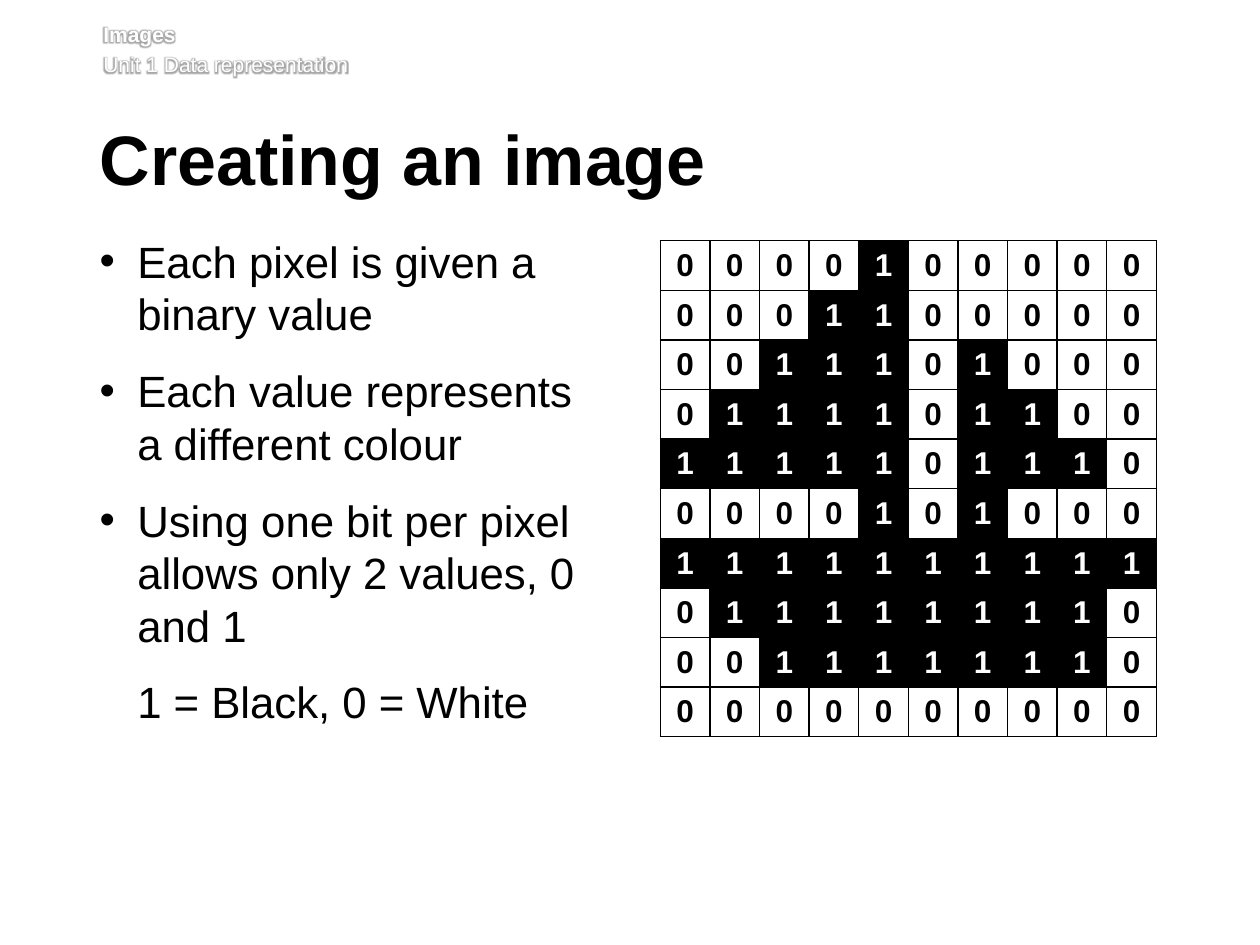
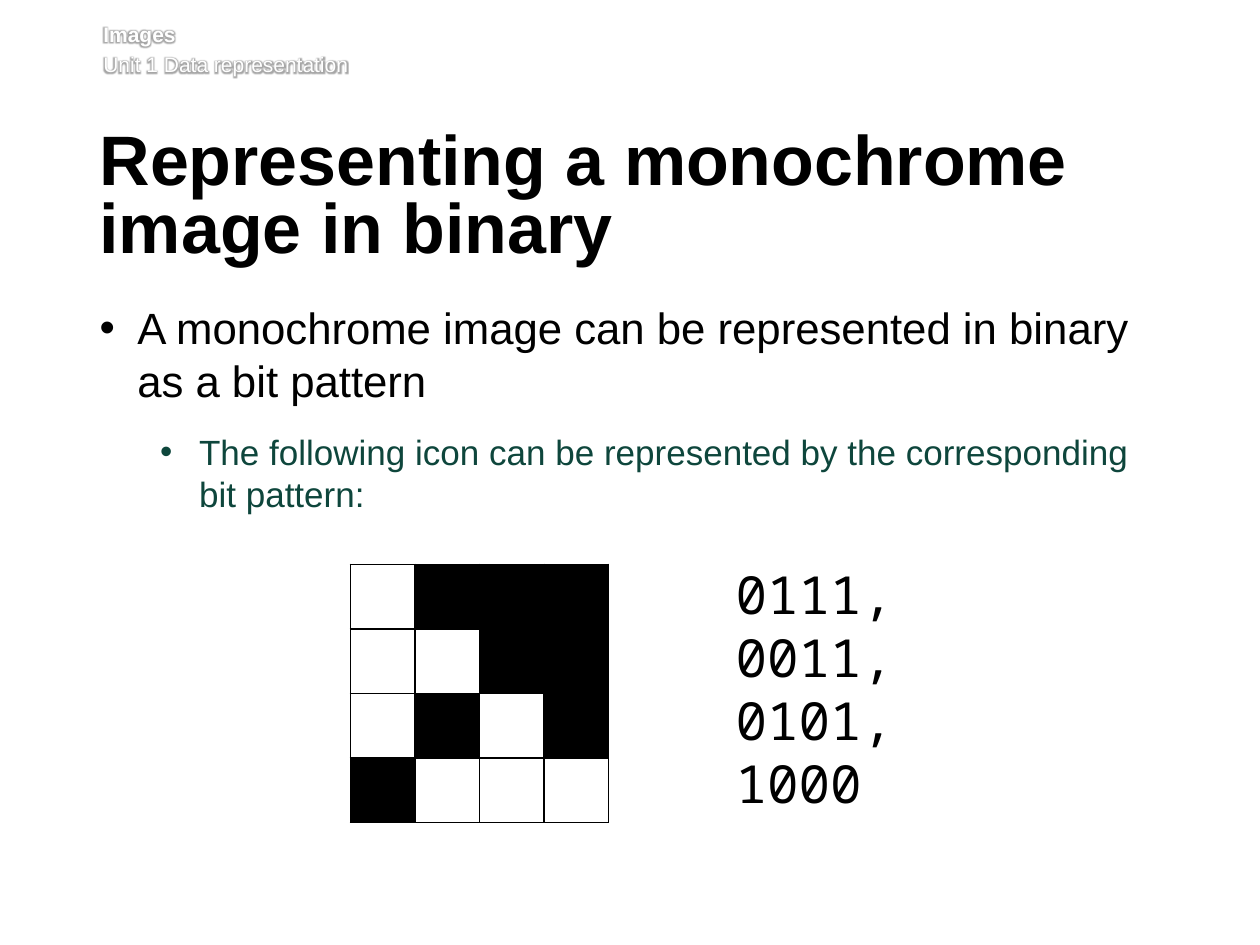
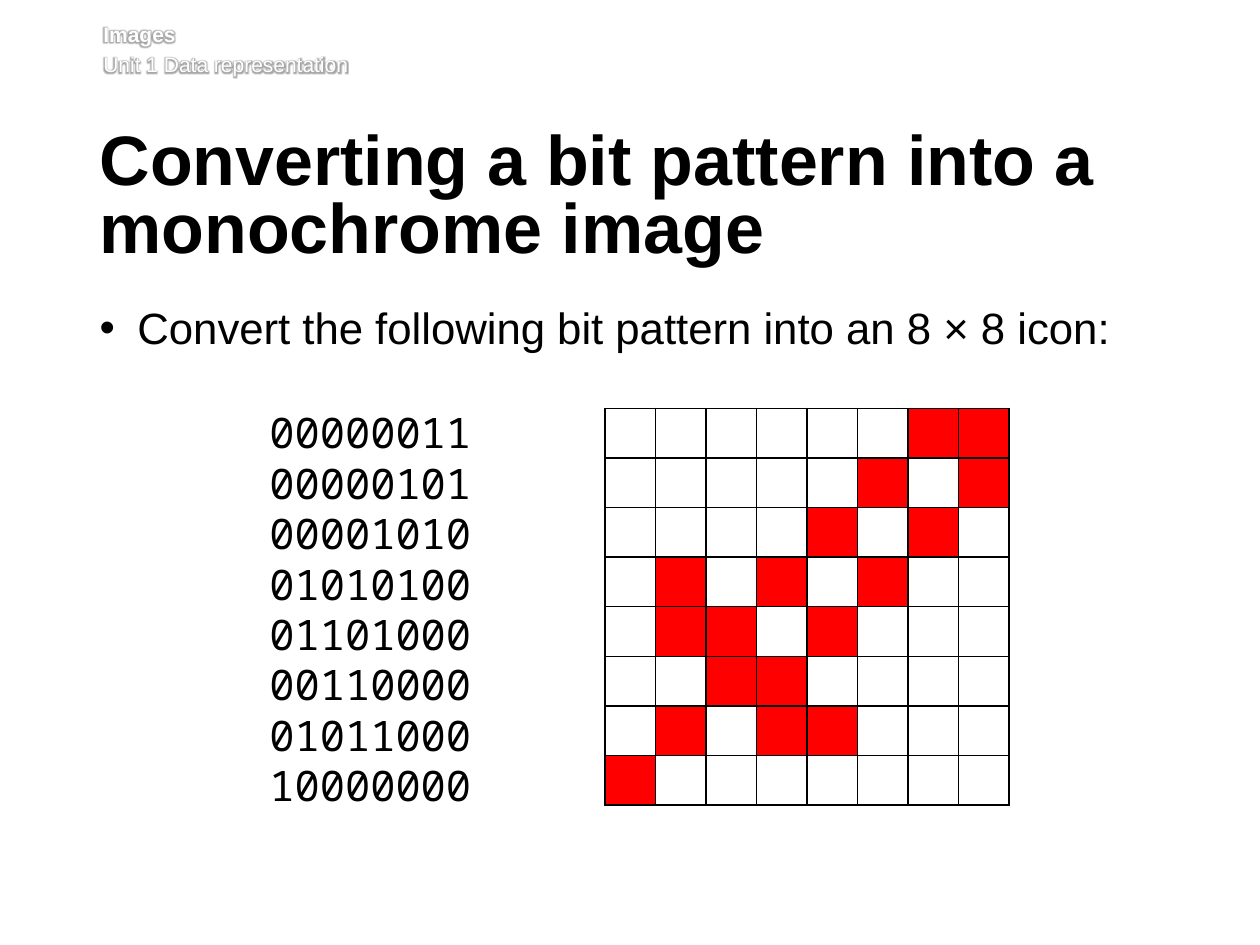
from lxml.etree import SubElement
from pptx import Presentation
from pptx.dml.color import RGBColor
from pptx.enum.text import MSO_ANCHOR, MSO_AUTO_SIZE, PP_ALIGN
from pptx.oxml import parse_xml
from pptx.oxml.ns import nsdecls, qn
from pptx.util import Inches, Pt

WIDTH, HEIGHT = Inches(10), Inches(7.5)
COLOURS = {"black": "000000", "white": "FFFFFF", "green": "0E463C", "red": "FF0000"}
SANS, MONO = "Arial", "Noto Sans Mono"

HEADER_AREA = (8.2, 2.27, 88.2, 6.53)
TITLE_AREA = (7.9, 13.2, 85.5, 9.73)
BODY_AREA = (7.9, 31.87, 85.3, 43.33)

LEVELS = [
    {"margin": 0.3, "hanging": 0.3, "after": 14, "size": 25, "colour": "black"},
    {"margin": 0.79, "hanging": 0.31, "after": 12, "size": 20, "colour": "green"},
]

BOAT = [
    "0000100000", "0001100000", "0011101000", "0111101100", "1111101110",
    "0000101000", "1111111111", "0111111110", "0011111110", "0000000000",
]
CORNER_ICON = ["0111", "0011", "0101", "1000"]
SWORD_ICON = [
    "00000011", "00000101", "00001010", "01010100",
    "01101000", "00110000", "01011000", "10000000",
]


def colour(name):
    return RGBColor.from_string(COLOURS[name])


def span_of(area):
    left, top, width, height = area
    return (int(WIDTH * left / 100), int(HEIGHT * top / 100),
            int(WIDTH * width / 100), int(HEIGHT * height / 100))


def place(box, area):
    box.left, box.top, box.width, box.height = span_of(area)


def set_frame(frame, left=0.1, top=0.05, right=0.1, bottom=0.05):
    frame.word_wrap = True
    frame.auto_size = MSO_AUTO_SIZE.NONE
    frame.vertical_anchor = MSO_ANCHOR.TOP
    frame.margin_left, frame.margin_top = Inches(left), Inches(top)
    frame.margin_right, frame.margin_bottom = Inches(right), Inches(bottom)


def paragraphs(frame, count):
    return [frame.paragraphs[0]] + [frame.add_paragraph() for _ in range(count - 1)]


def add_span(para, text, size, shade="black", font=SANS, bold=False):
    span = para.add_run()
    span.text = text
    span.font.size = Pt(size)
    span.font.name = font
    span.font.bold = bold
    span.font.color.rgb = colour(shade)
    return span


def add_glow(span):
    glow = parse_xml(
        f'<a:effectLst {nsdecls("a")}><a:glow rad="50800"><a:srgbClr val="{COLOURS["black"]}">'
        '<a:alpha val="35000"/></a:srgbClr></a:glow></a:effectLst>')
    span.font._element.find(qn("a:solidFill")).addnext(glow)


def add_header(page):
    frame = page.shapes.add_textbox(*span_of(HEADER_AREA)).text_frame
    set_frame(frame, 0, 0, 0)
    topic, unit = paragraphs(frame, 2)
    unit.space_before = Pt(2.9)
    add_glow(add_span(topic, "Images", 12, "white", bold=True))
    add_glow(add_span(unit, "Unit 1 Data representation", 12, "white"))


def set_title(page, text):
    title = page.shapes.title
    place(title, TITLE_AREA)
    set_frame(title.text_frame, left=0)
    para = title.text_frame.paragraphs[0]
    para.alignment = PP_ALIGN.LEFT
    para.line_spacing = Pt(39)
    para.space_after = Pt(15)
    add_span(para, text, 40, bold=True)


def set_bullet(para, style, bulleted):
    properties = para._p.get_or_add_pPr()
    properties.set("marL", str(Inches(style["margin"])))
    properties.set("indent", str(-Inches(style["hanging"]) if bulleted else 0))
    if bulleted:
        SubElement(properties, qn("a:buChar")).set("char", "•")
    else:
        SubElement(properties, qn("a:buNone"))


def set_list(page, items, area=BODY_AREA):
    body = page.placeholders[1]
    place(body, area)
    set_frame(body.text_frame, left=0, top=0)
    for para, (text, level, bulleted) in zip(paragraphs(body.text_frame, len(items)), items):
        style = LEVELS[level]
        set_bullet(para, style, bulleted)
        para.level = level
        para.space_before = Pt(0)
        para.space_after = Pt(style["after"])
        add_span(para, text, style["size"], style["colour"])


def set_borders(cell):
    properties = cell._tc.get_or_add_tcPr()
    for side in ("lnL", "lnR", "lnT", "lnB"):
        properties.append(parse_xml(
            f'<a:{side} {nsdecls("a")} w="{Pt(1)}"><a:solidFill>'
            f'<a:srgbClr val="{COLOURS["black"]}"/></a:solidFill></a:{side}>'))


def add_pixels(page, pattern, area, ink="black", show_bits=False):
    rows, columns = len(pattern), len(pattern[0])
    left, top, width, height = span_of(area)
    table = page.shapes.add_table(rows, columns, left, top, width, height).table
    table.first_row = table.horz_banding = False
    for column in table.columns:
        column.width = width // columns
    for row, bits in zip(table.rows, pattern):
        row.height = height // rows
        for cell, bit in zip(row.cells, bits):
            set_borders(cell)
            cell.fill.solid()
            cell.fill.fore_color.rgb = colour(ink if bit == "1" else "white")
            cell.margin_left = cell.margin_right = cell.margin_top = cell.margin_bottom = 0
            cell.vertical_anchor = MSO_ANCHOR.MIDDLE
            if show_bits:
                para = cell.text_frame.paragraphs[0]
                para.alignment = PP_ALIGN.CENTER
                add_span(para, bit, 18, "white" if bit == "1" else "black", bold=True)


def add_bit_pattern(page, lines, area, size):
    frame = page.shapes.add_textbox(*span_of(area)).text_frame
    set_frame(frame)
    for para, line in zip(paragraphs(frame, len(lines)), lines):
        add_span(para, line, size, font=MONO)


def add_page(deck, title):
    page = deck.slides.add_slide(deck.slide_layouts[1])
    add_header(page)
    set_title(page, title)
    return page


def main():
    deck = Presentation()
    deck.slide_width, deck.slide_height = WIDTH, HEIGHT

    page = add_page(deck, "Creating an image")
    set_list(page, [
        ("Each pixel is given a binary value", 0, True),
        ("Each value represents a different colour", 0, True),
        ("Using one bit per pixel allows only 2 values, 0 and 1", 0, True),
        ("1 = Black, 0 = White", 0, False),
    ], (7.9, 24.8, 41.3, 50.4))
    add_pixels(page, BOAT, (52.4, 25.47, 39.4, 52.53), show_bits=True)

    page = add_page(deck, "Representing a monochrome image in binary")
    set_list(page, [
        ("A monochrome image can be represented in binary as a bit pattern", 0, True),
        ("The following icon can be represented by the corresponding bit pattern:", 1, True),
    ])
    add_pixels(page, CORNER_ICON, (27.8, 59.73, 20.5, 27.33))
    add_bit_pattern(page, ", ".join(CORNER_ICON).split(" "), (57.4, 58.8, 20.5, 28.27), 30)

    page = add_page(deck, "Converting a bit pattern into a monochrome image")
    set_list(page, [("Convert the following bit pattern into an 8 × 8 icon:", 0, True)])
    add_bit_pattern(page, SWORD_ICON, (20.4, 42.4, 24.2, 44.4), 24)
    add_pixels(page, SWORD_ICON, (48, 43.2, 32.1, 42), ink="red")

    deck.save("out.pptx")


if __name__ == "__main__":
    main()
